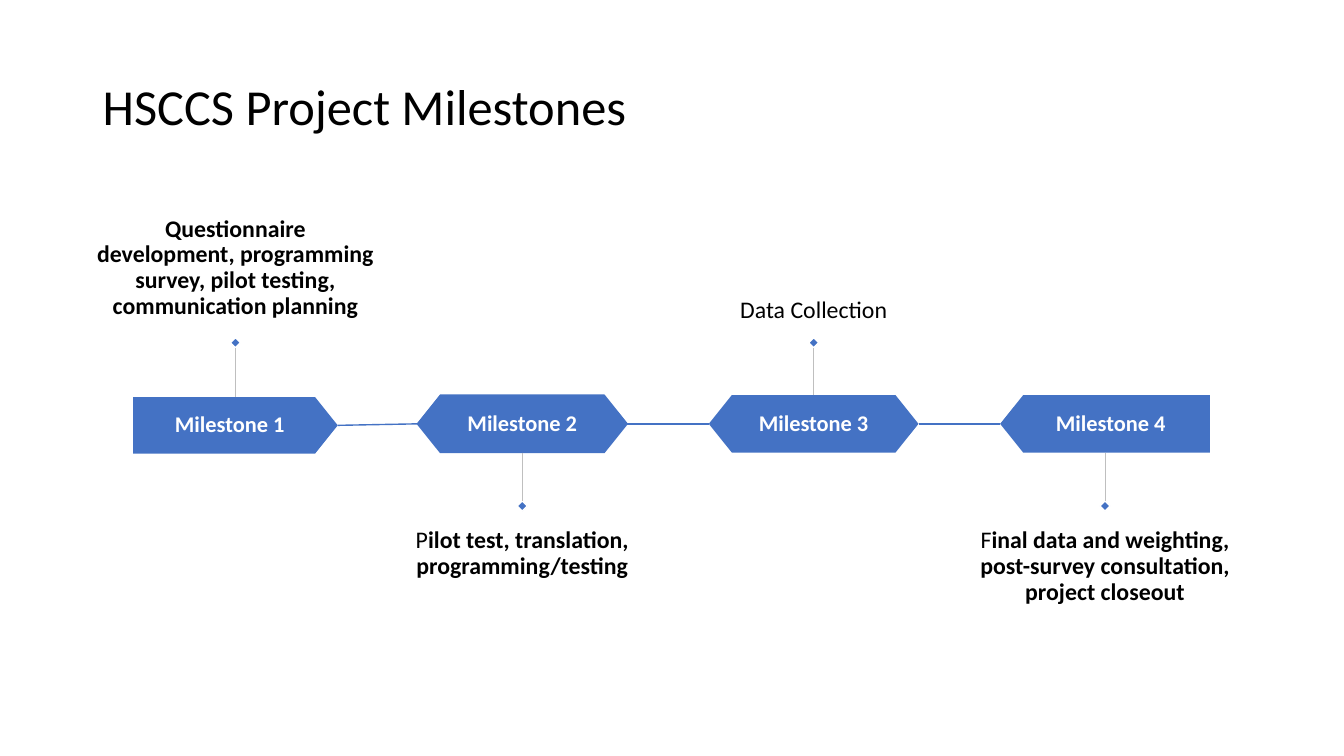
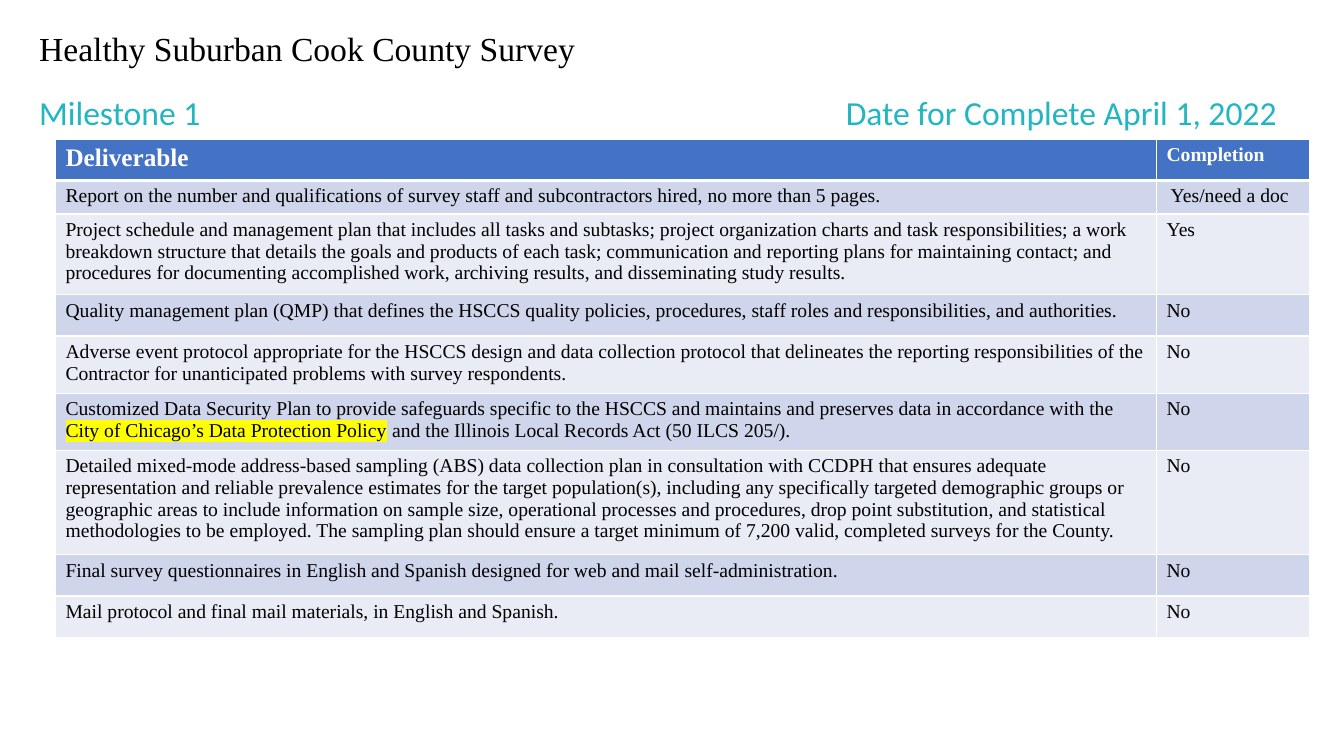
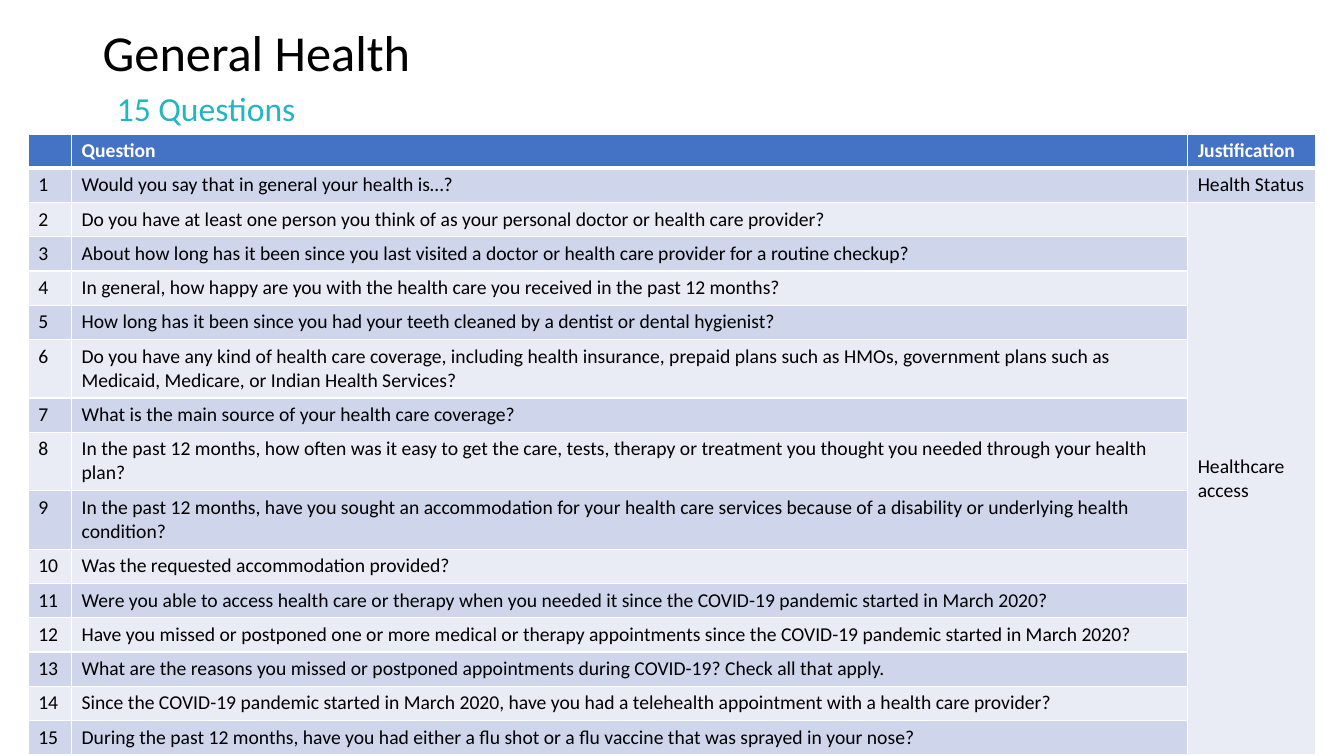
from dataclasses import dataclass, replace
from typing import Any, Optional, Sequence, Union

from lxml.etree import SubElement
from pptx import Presentation
from pptx.dml.color import RGBColor
from pptx.enum.shapes import MSO_CONNECTOR as Connector, MSO_SHAPE as Preset
from pptx.enum.text import MSO_ANCHOR as Anchor, PP_ALIGN as Align
from pptx.oxml.ns import qn
from pptx.util import Inches, Pt


# ---- Theme and records ----
@dataclass(frozen=True)
class TextStyle:
    font: str
    size: float
    color: RGBColor
    bold: bool = False


@dataclass(frozen=True)
class Theme:
    blue: RGBColor = RGBColor(0x44, 0x72, 0xC4)
    teal: RGBColor = RGBColor(0x21, 0xB6, 0xC1)
    grey: RGBColor = RGBColor(0xBF, 0xBF, 0xBF)
    black: RGBColor = RGBColor(0, 0, 0)
    white: RGBColor = RGBColor(0xFF, 0xFF, 0xFF)
    bands: tuple = (RGBColor(0xCF, 0xD5, 0xEA), RGBColor(0xE9, 0xEB, 0xF5))
    highlight: str = "FFFF00"
    sans: str = "Calibri"
    serif: str = "Times New Roman"
    title_size: float = 36
    subtitle_size: float = 24
    label_size: float = 17
    flag_size: float = 16
    table_size: float = 14
    table_head_size: float = 18
    line_spacing: float = 0.9


THEME = Theme()
TITLE = TextStyle(THEME.sans, THEME.title_size, THEME.black)
SERIF_TITLE = TextStyle(THEME.serif, THEME.subtitle_size, THEME.black)
SUBTITLE = TextStyle(THEME.sans, THEME.subtitle_size, THEME.teal)
FLAG = TextStyle(THEME.sans, THEME.flag_size, THEME.white, True)
LABEL = TextStyle(THEME.sans, THEME.label_size, THEME.black)


@dataclass(frozen=True)
class Run:
    text: str
    bold: bool = False
    highlight: bool = False


Content = Union[str, Sequence[Run]]


@dataclass(frozen=True)
class Box:
    left: float
    top: float
    width: float
    height: float

    def lengths(self) -> tuple:
        return tuple(Inches(v) for v in (self.left, self.top, self.width, self.height))


@dataclass(frozen=True)
class Milestone:
    name: str
    box: Box
    preset: Any
    label: Content
    above: bool
    label_width: float = 2.89
    flipped: bool = False
    outlined: bool = False


# ---- Text ----
def set_attributes(target: Any, values: dict) -> None:
    for name, value in values.items():
        setattr(target, name, value)


def write_runs(paragraph: Any, content: Content, style: TextStyle) -> None:
    if not content:
        SubElement(paragraph._p, qn("a:endParaRPr"), sz=str(int(style.size * 100)))
        return
    for part in [Run(content)] if isinstance(content, str) else content:
        run = paragraph.add_run()
        run.text = part.text
        set_attributes(run.font, {"name": style.font, "size": Pt(style.size),
                                  "bold": style.bold or part.bold})
        run.font.color.rgb = style.color
        if part.highlight:
            properties = run.font._element
            mark = SubElement(properties, qn("a:highlight"))
            SubElement(mark, qn("a:srgbClr"), val=THEME.highlight)
            properties.find(qn("a:solidFill")).addnext(mark)


def add_text(slide: Any, box: Box, content: Content, style: TextStyle,
             anchor: Any = Anchor.TOP, align: Any = Align.LEFT,
             margins: tuple = (0.1, 0.05), tab: Optional[float] = None) -> None:
    shape = slide.shapes.add_textbox(*box.lengths())
    fill_frame(shape.text_frame, content, style, anchor, align, margins, tab)


def fill_frame(frame: Any, content: Content, style: TextStyle, anchor: Any, align: Any,
               margins: tuple, tab: Optional[float] = None) -> None:
    side, edge = (Inches(margin) for margin in margins)
    set_attributes(frame, {"word_wrap": True, "vertical_anchor": anchor,
                           "margin_left": side, "margin_right": side,
                           "margin_top": edge, "margin_bottom": edge})
    paragraph = frame.paragraphs[0]
    if tab is not None:
        tabs = SubElement(paragraph._p.get_or_add_pPr(), qn("a:tabLst"))
        SubElement(tabs, qn("a:tab"), pos=str(Inches(tab)), algn="l")
    set_attributes(paragraph, {"alignment": align, "line_spacing": THEME.line_spacing})
    write_runs(paragraph, content, style)


# ---- Shapes and lines ----
def add_preset(slide: Any, preset: Any, box: Box, line: Optional[RGBColor]) -> Any:
    shape = slide.shapes.add_shape(preset, *box.lengths())
    shape.shadow.inherit = False
    shape.fill.solid()
    shape.fill.fore_color.rgb = THEME.blue
    if line is None:
        shape.line.fill.background()
    else:
        shape.line.color.rgb = line
        shape.line.width = Pt(1)
    return shape


def add_line(slide: Any, start: tuple, end: tuple, color: RGBColor, width: float) -> Any:
    line = slide.shapes.add_connector(Connector.STRAIGHT, *start, *end)
    SubElement(line._element.spPr, qn("a:effectLst"))
    line.line.color.rgb = color
    line.line.width = Pt(width)
    return line


def add_milestone(slide: Any, milestone: Milestone) -> Any:
    box = milestone.box
    flag = add_preset(slide, milestone.preset, box, THEME.blue if milestone.outlined else None)
    flag.adjustments[0] = 0.4
    if milestone.flipped:
        flag._element.spPr.xfrm.set("flipH", "1")
    fill_frame(flag.text_frame, milestone.name, FLAG, Anchor.MIDDLE, Align.CENTER, (0.13, 0))

    # Diamond, stem and label on one side of the flag
    middle, size = box.left + box.width / 2, 0.1
    diamond_top, label_top = (3.35, 1.82) if milestone.above else (4.97, 5.07)
    diamond = add_preset(slide, Preset.DIAMOND,
                         Box(middle - size / 2, diamond_top, size, size), THEME.white)
    foot = (Inches(middle), Inches(box.top if milestone.above else box.top + box.height))
    stem = add_line(slide, foot, foot, THEME.grey, 0.25)
    stem.end_connect(diamond, 2 if milestone.above else 0)
    add_text(slide, Box(middle - milestone.label_width / 2, label_top, milestone.label_width, 1.52),
             milestone.label, LABEL, Anchor.BOTTOM if milestone.above else Anchor.TOP,
             Align.CENTER, (0, 0.17))
    return flag


# ---- Tables ----
def format_cell(cell: Any, content: Content, style: TextStyle, fill: RGBColor, row: int) -> None:
    properties = cell._tc.get_or_add_tcPr()
    widths = {"lnL": 1, "lnR": 1, "lnT": 3 if row == 1 else 1, "lnB": 3 if row == 0 else 1}
    for side, width in widths.items():
        border = SubElement(properties, qn(f"a:{side}"), w=str(Pt(width)))
        paint = SubElement(border, qn("a:solidFill"))
        SubElement(paint, qn("a:srgbClr"), val=str(THEME.white))
    cell.fill.solid()
    cell.fill.fore_color.rgb = fill
    lines = content.split("\n") if isinstance(content, str) else [content]
    for index, line in enumerate(lines):
        frame = cell.text_frame
        write_runs(frame.add_paragraph() if index else frame.paragraphs[0], line, style)


def add_grid(slide: Any, left: float, top: float, columns: Sequence[float],
             heights: Sequence[float], rows: Sequence[Sequence[Content]],
             heads: Sequence[TextStyle], body: TextStyle) -> Any:
    box = Box(left, top, sum(columns), sum(heights))
    table = slide.shapes.add_table(len(rows), len(columns), *box.lengths()).table
    table.horz_banding = False
    for column, width in zip(table.columns, columns):
        column.width = Inches(width)
    for index, (row, height) in enumerate(zip(rows, heights)):
        table.rows[index].height = Inches(height)
        fill = THEME.bands[(index - 1) % 2] if index else THEME.blue
        for position, content in enumerate(row):
            style = body if index else heads[position]
            format_cell(table.cell(index, position), content, style, fill, index)
    return table


# ---- Content ----
MILESTONES = (
    Milestone("Milestone 1", Box(1.32, 3.94, 2.03, 0.56), Preset.PENTAGON,
              [Run("Questionnaire development, programming survey, pilot testing, "
                   "communication planning", bold=True)], above=True, label_width=2.81),
    Milestone("Milestone 2", Box(4.14, 3.92, 2.08, 0.57), Preset.HEXAGON,
              [Run("P"), Run("ilot test, translation, programming/testing", bold=True)],
              above=False, outlined=True),
    Milestone("Milestone 3", Box(7.03, 3.92, 2.08, 0.57), Preset.HEXAGON,
              "Data Collection", above=True),
    Milestone("Milestone 4", Box(9.92, 3.92, 2.08, 0.57), Preset.PENTAGON,
              [Run("F"), Run("inal data and weighting, post-survey consultation, "
                             "project closeout", bold=True)], above=False, flipped=True),
)

DELIVERABLES = (
    ("Deliverable", "Completion"),
    ("Report on the number and qualifications of survey staff and subcontractors hired, "
     "no more than 5 pages.", " Yes/need a doc"),
    ("Project schedule and management plan that includes all tasks and subtasks; project "
     "organization charts and task responsibilities; a work breakdown structure that details "
     "the goals and products of each task; communication and reporting plans for maintaining "
     "contact; and procedures for documenting accomplished work, archiving results, and "
     "disseminating study results.", "Yes"),
    ("Quality management plan (QMP) that defines the HSCCS quality policies, procedures, "
     "staff roles and responsibilities, and authorities.", "No"),
    ("Adverse event protocol appropriate for the HSCCS design and data collection protocol "
     "that delineates the reporting responsibilities of the Contractor for unanticipated "
     "problems with survey respondents.", "No"),
    ([Run("Customized Data Security Plan to provide safeguards specific to the HSCCS and "
          "maintains and preserves data in accordance with the "),
      Run("City of Chicago’s Data Protection Policy", highlight=True),
      Run(" and the Illinois Local Records Act (50 ILCS 205/).")], "No"),
    ("Detailed mixed-mode address-based sampling (ABS) data collection plan in consultation "
     "with CCDPH that ensures adequate representation and reliable prevalence estimates for "
     "the target population(s), including any specifically targeted demographic groups or "
     "geographic areas to include information on sample size, operational processes and "
     "procedures, drop point substitution, and statistical methodologies to be employed. The "
     "sampling plan should ensure a target minimum of 7,200 valid, completed surveys for the "
     "County.", "No"),
    ("Final survey questionnaires in English and Spanish designed for web and mail "
     "self-administration.", "No"),
    ("Mail protocol and final mail materials, in English and Spanish.", "No"),
)
DELIVERABLE_HEIGHTS = (0.41, 0.31, 0.75, 0.41, 0.53, 0.53, 0.96, 0.41, 0.41)

QUESTIONS = (
    "Would you say that in general your health is…?",
    "Do you have at least one person you think of as your personal doctor or health care provider?",
    "About how long has it been since you last visited a doctor or health care provider for a "
    "routine checkup?",
    "In general, how happy are you with the health care you received in the past 12 months?",
    "How long has it been since you had your teeth cleaned by a dentist or dental hygienist?",
    "Do you have any kind of health care coverage, including health insurance, prepaid plans "
    "such as HMOs, government plans such as Medicaid, Medicare, or Indian Health Services?",
    "What is the main source of your health care coverage?",
    "In the past 12 months, how often was it easy to get the care, tests, therapy or treatment "
    "you thought you needed through your health plan?",
    "In the past 12 months, have you sought an accommodation for your health care services "
    "because of a disability or underlying health condition?",
    "Was the requested accommodation provided?",
    "Were you able to access health care or therapy when you needed it since the COVID-19 "
    "pandemic started in March 2020?",
    "Have you missed or postponed one or more medical or therapy appointments since the "
    "COVID-19 pandemic started in March 2020?",
    "What are the reasons you missed or postponed appointments during COVID-19? Check all that "
    "apply.",
    "Since the COVID-19 pandemic started in March 2020, have you had a telehealth appointment "
    "with a health care provider?",
    "During the past 12 months, have you had either a flu shot or a flu vaccine that was "
    "sprayed in your nose?",
)
JUSTIFICATIONS = {1: "Health Status", 2: "Healthcare\naccess"}
TWO_LINE_QUESTIONS = (6, 8, 9)


# ---- Slides ----
def build_milestones(slide: Any) -> None:
    add_text(slide, Box(0.92, 0.76, 6.21, 0.65), "HSCCS Project Milestones", TITLE, Anchor.MIDDLE)
    flags = [add_milestone(slide, milestone) for milestone in MILESTONES]
    for flag, following in zip(flags, flags[1:]):
        add_line(slide, (flag.left + flag.width, flag.top + flag.height // 2),
                 (following.left, following.top + following.height // 2), THEME.blue, 1)


def build_deliverables(slide: Any) -> None:
    add_text(slide, Box(0.29, 0.27, 5.57, 0.46), "Healthy Suburban Cook County Survey",
             SERIF_TITLE, Anchor.MIDDLE)
    body = TextStyle(THEME.serif, THEME.table_size, THEME.black)
    head = replace(body, color=THEME.white, bold=True)
    add_grid(slide, 0.55, 1.38, (10.92, 1.52), DELIVERABLE_HEIGHTS, DELIVERABLES,
             (replace(head, size=THEME.table_head_size), head), body)
    add_text(slide, Box(0.29, 0.91, 12.59, 0.46), "Milestone 1\tDate for Complete April 1, 2022",
             SUBTITLE, tab=8)


def build_questions(slide: Any) -> None:
    add_text(slide, Box(0.92, 0.22, 3.59, 0.65), "General Health", TITLE, Anchor.MIDDLE)
    add_text(slide, Box(1.06, 0.87, 2.18, 0.46), "15 Questions", SUBTITLE)
    body = TextStyle(THEME.sans, THEME.table_size, THEME.black)
    head = replace(body, color=THEME.white, bold=True)
    rows = [("", "Question", "Justification")]
    rows += [(str(number), question, JUSTIFICATIONS.get(number, ""))
             for number, question in enumerate(QUESTIONS, 1)]
    heights = [0.58 if number in TWO_LINE_QUESTIONS else 0.34 for number in range(len(rows))]
    table = add_grid(slide, 0.28, 1.33, (0.43, 11.07, 1.27), heights, rows, (head,) * 3, body)
    access = table.cell(2, 2)
    access.merge(table.cell(len(QUESTIONS), 2))
    access.vertical_anchor = Anchor.MIDDLE


def main() -> None:
    presentation = Presentation()
    presentation.slide_width, presentation.slide_height = Inches(13.33), Inches(7.5)
    blank = presentation.slide_layouts[6]
    for build in (build_milestones, build_deliverables, build_questions):
        build(presentation.slides.add_slide(blank))
    presentation.save("out.pptx")


if __name__ == "__main__":
    main()
